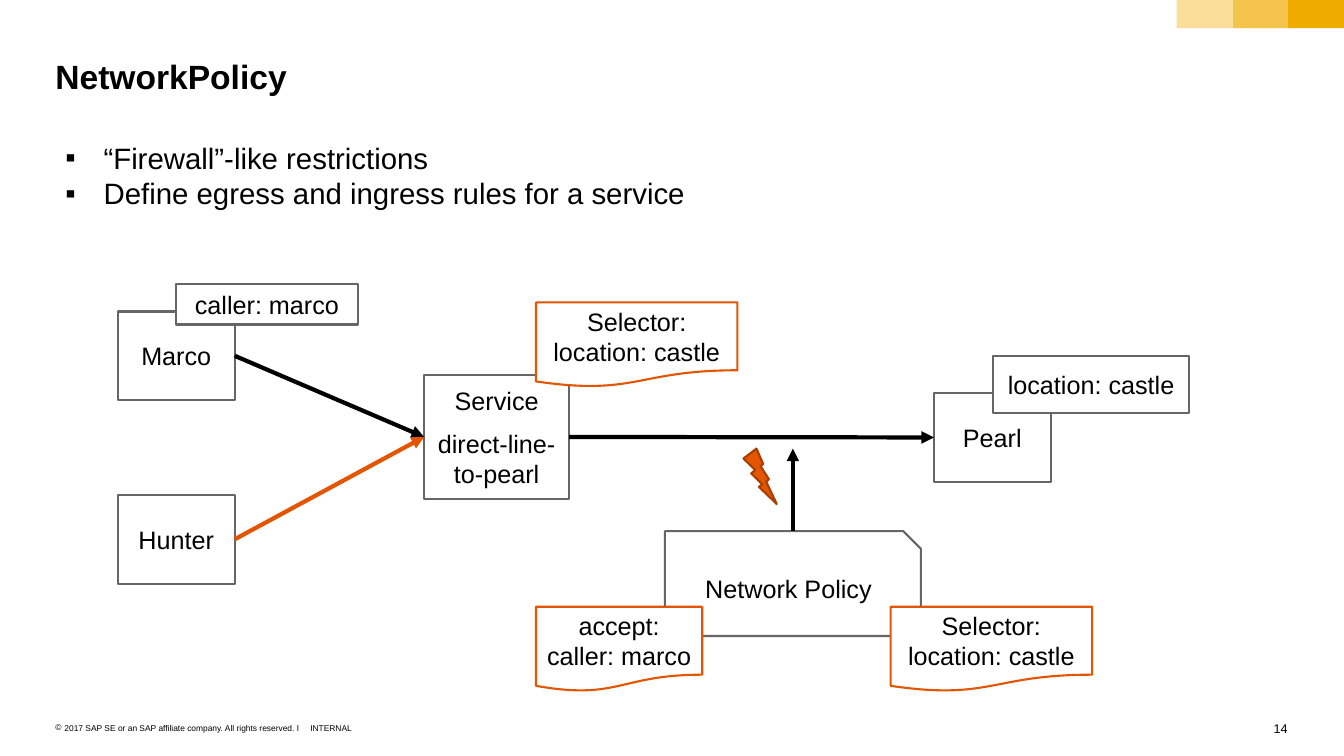
from lxml import etree
from pptx import Presentation
from pptx import util as u
from pptx.dml import color
from pptx.enum import shapes, text
from pptx.oxml import ns

PX = 9144
W, H = 1334, 750
BLACK, WHITE, GREY = "000000", "FFFFFF", "666666"
ORANGE, RUST, GOLD = "E35500", "A83F00", "F0AB00"
KIND = shapes.MSO_SHAPE
LEFT, RIGHT = 1, 3


def px(n):
    """Turn px into EMU."""
    return u.Emu(round(n * PX))


def rgb(value):
    """Turn a hex string into a colour."""
    return color.RGBColor.from_string(value)


def assign(target, values):
    """Set every attribute named in a dict."""
    for name, value in values.items():
        setattr(target, name, value)


def child(parent, tag, **attrs):
    """Append a drawing element with the given attributes."""
    return etree.SubElement(parent, ns.qn(tag), attrs)


def bullet(p, char, indent):
    """Give a paragraph a hanging bullet."""
    pPr = p._p.get_or_add_pPr()
    pPr.set("marL", str(px(indent)))
    pPr.set("indent", str(-px(indent)))
    clr = child(pPr, "a:buClr")
    child(clr, "a:srgbClr", val=BLACK)
    child(pPr, "a:buFont", typeface="Arial")
    child(pPr, "a:buChar", char=char)


def write(tf, lines, size, inset=(0, 0), mark=None, align="LEFT", gap=0, **options):
    """Fill a text frame with formatted paragraphs."""
    side, edge = map(px, inset)
    frame = dict(margin_left=side, margin_right=side, margin_top=edge,
                 margin_bottom=edge, word_wrap=True)
    assign(tf, {**frame, **options})
    for i, line in enumerate(lines):
        p = tf.add_paragraph() if i else tf.paragraphs[0]
        if mark:
            bullet(p, *mark)
        p.alignment = text.PP_ALIGN[align]
        if i and gap:
            p.space_before = u.Pt(gap)
        r = p.add_run()
        r.text = line
        assign(r.font, dict(name="Arial", size=u.Pt(size)))
        r.font.color.rgb = rgb(BLACK)


def label(slide, box, lines, size, **options):
    """Add a text box."""
    s = slide.shapes.add_textbox(*map(px, box))
    write(s.text_frame, lines, size, **options)
    return s


def shape(slide, kind, box, fill, line=None):
    """Add a flat shape with a fill and an optional outline."""
    s = slide.shapes.add_shape(kind, *map(px, box))
    s.shadow.inherit = False
    s.fill.solid()
    s.fill.fore_color.rgb = rgb(fill)
    if line:
        s.line.color.rgb = rgb(line)
        s.line.width = u.Pt(1.5)
    else:
        s.line.fill.background()
    return s


def node(slide, box, *lines, kind=KIND.RECTANGLE, line=GREY):
    """Add a white outlined diagram box with centred text."""
    s = shape(slide, kind, box, WHITE, line)
    write(s.text_frame, lines, 18, inset=(10, 8), align="CENTER", gap=9,
          vertical_anchor=text.MSO_ANCHOR.MIDDLE)
    return s


def arrow(slide, start, end, line=BLACK):
    """Add a straight arrow between two points."""
    s = slide.shapes.add_connector(shapes.MSO_CONNECTOR.STRAIGHT, *map(px, start + end))
    s.line.color.rgb = rgb(line)
    s.line.width = u.Pt(3)
    child(s.line._get_or_add_ln(), "a:tailEnd", type="triangle")
    child(s._element.spPr, "a:effectLst")
    return s


def link(slide, source, target, line=BLACK):
    """Join the right side of one node to the left side of another."""
    s = arrow(slide, (0, 0), (0, 0), line)
    s.begin_connect(source, RIGHT)
    s.end_connect(target, LEFT)


def accent_band(slide, box):
    """Draw the row of corner blocks, growing more opaque to the right."""
    x, y, w, h = box
    step = w / 3
    for i, opacity in enumerate((40, 70, 100)):
        s = shape(slide, KIND.RECTANGLE, (x + i * step, y, step, h), GOLD)
        if opacity < 100:
            clr = s._element.spPr.find(".//" + ns.qn("a:srgbClr"))
            child(clr, "a:alpha", val=str(opacity * 1000))


def footer(slide, box):
    """Place the copyright line, classification and page number."""
    x, y, w, h = box
    label(slide, (x, y + 2, 248, 10),
          ["2017 SAP SE or an SAP affiliate company. All rights reserved. ǀ"],
          6, mark=("©", 9))
    label(slide, (x + 253, y + 2, 42, 10), ["INTERNAL"], 6, word_wrap=False)
    label(slide, (x + w - 15, y, 15, h), ["14"], 9, align="RIGHT", word_wrap=False)


def heading(slide, box):
    """Place the title and the bullet list under it."""
    x, y, w, h = box
    title = label(slide, (x, y, w, 40), ["NetworkPolicy"], 24)
    title.text_frame.paragraphs[0].runs[0].font.bold = True
    label(slide, (x, y + 79, w, h - 79),
          ["“Firewall”-like restrictions",
           "Define egress and ingress rules for a service"],
          21, inset=(10, 5), mark=("▪", 38))


def diagram(slide, box):
    """Draw the callers, service, target and policy with their tags."""
    x, y, w, h = box

    def at(left, top, width, height):
        """Offset a box into the diagram."""
        return x + left, y + top, width, height

    marco = node(slide, at(0, 27, 116, 88), "Marco")
    hunter = node(slide, at(0, 209, 116, 88), "Hunter")
    service = node(slide, at(304, 90, 144, 123), "Service", "direct-line-to-pearl")
    pearl = node(slide, at(810, 108, 116, 88), "Pearl")
    policy = at(543, 245, 254, 104)
    node(slide, policy, "Network Policy", kind=KIND.SNIP_1_RECTANGLE)

    link(slide, marco, service)
    link(slide, hunter, service, ORANGE)
    link(slide, service, pearl)
    middle = policy[0] + policy[2] // 2
    arrow(slide, (middle, policy[1]), (middle, policy[1] - 82))
    shape(slide, KIND.LIGHTNING_BOLT, at(621, 163, 33, 55), ORANGE, RUST)

    node(slide, at(58, 0, 180, 40), "caller: marco")
    node(slide, at(869, 71, 194, 57), "location: castle")
    for left, top, width, rule in (
            (415, 18, 200, "Selector: location: castle"),
            (415, 320, 165, "accept: caller: marco"),
            (767, 320, 200, "Selector: location: castle")):
        node(slide, at(left, top, width, 84), rule,
             kind=KIND.FLOWCHART_DOCUMENT, line=ORANGE)


def main():
    """Build and save the presentation."""
    prs = Presentation()
    assign(prs, dict(slide_width=px(W), slide_height=px(H)))
    slide = prs.slides.add_slide(prs.slide_layouts[6])
    accent_band(slide, (1168, 0, 166, 28))
    footer(slide, (55, 715, 1223, 15))
    heading(slide, (55, 55, 1223, 160))
    diagram(slide, (117, 282, 1063, 404))
    prs.save("out.pptx")


if __name__ == "__main__":
    main()
